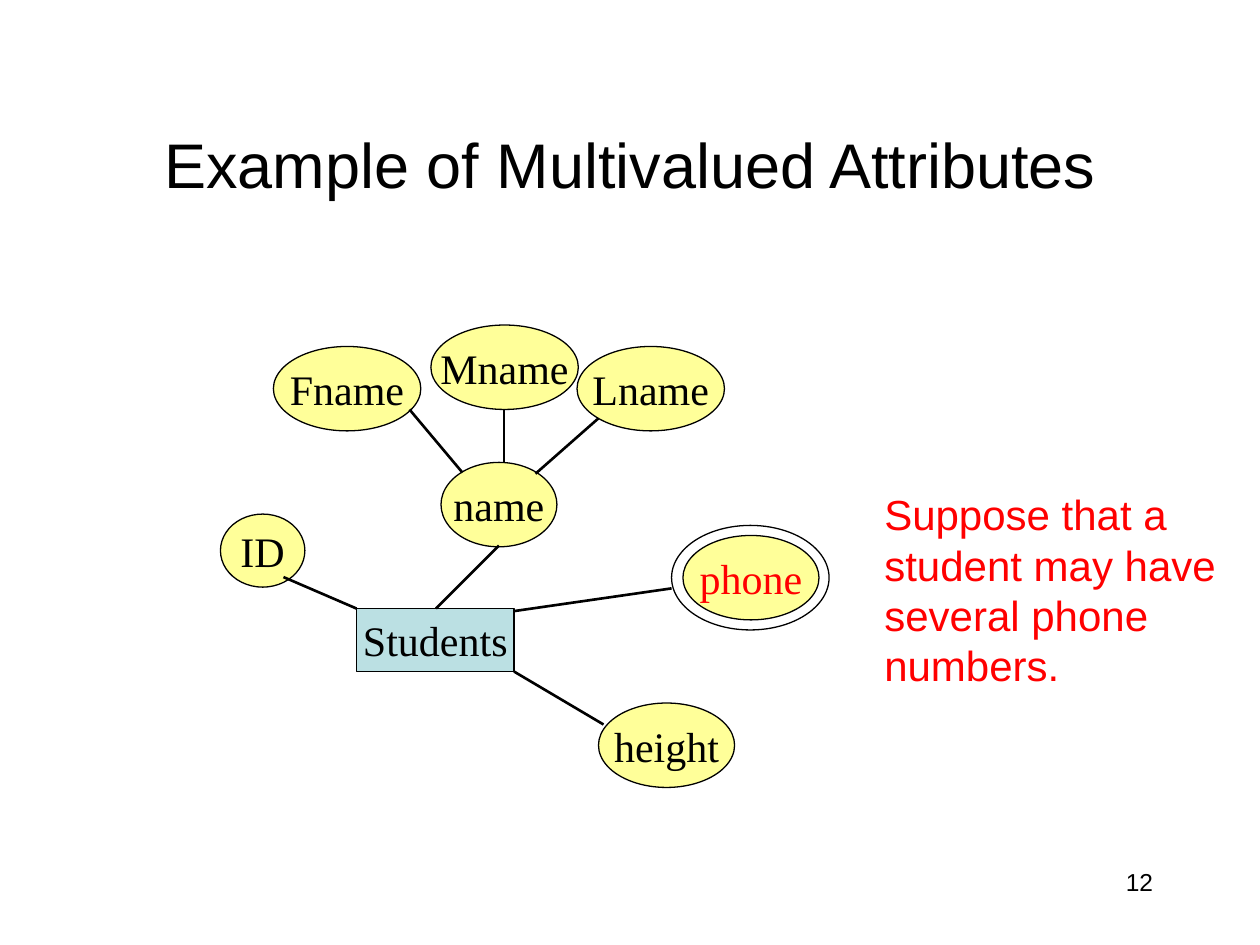
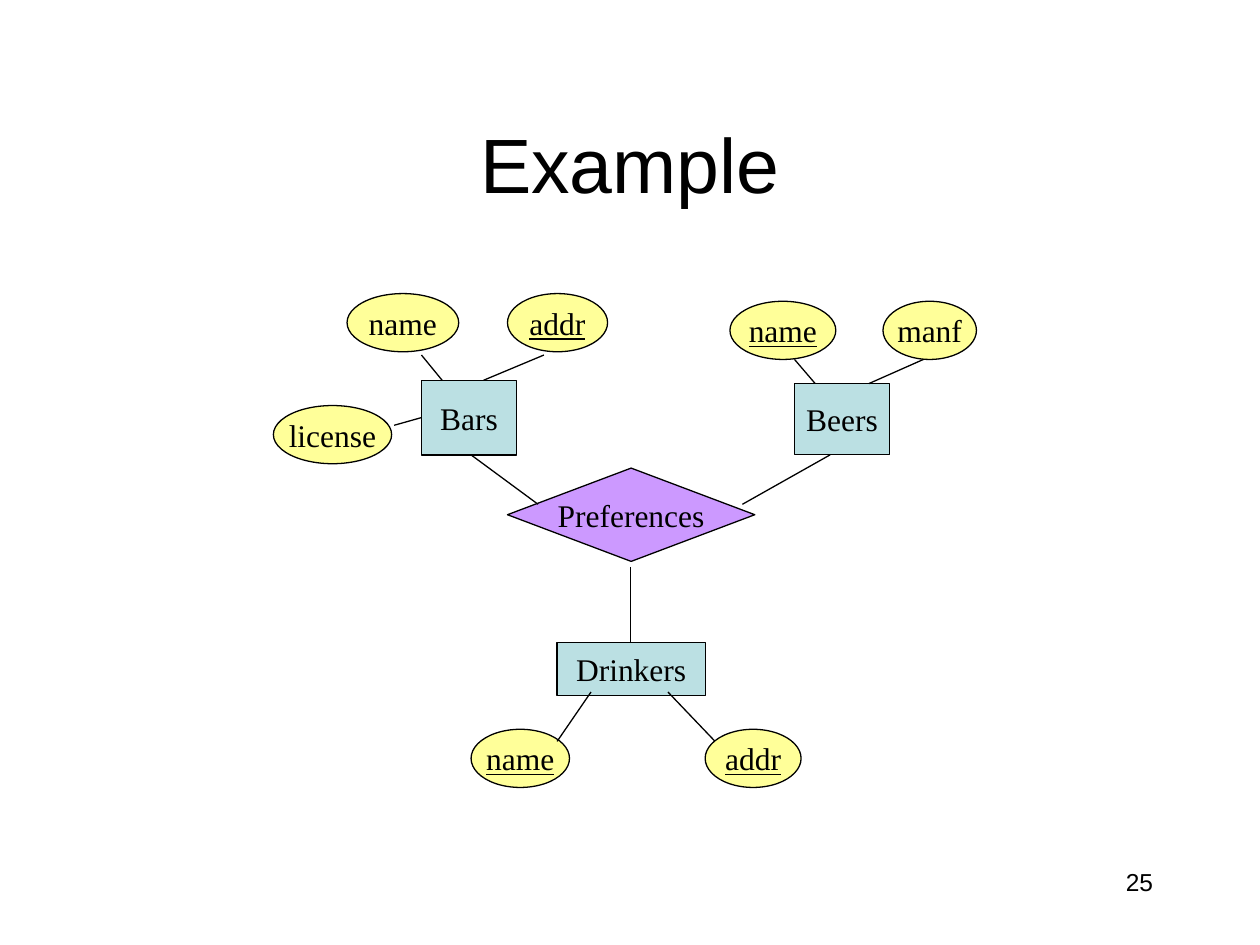
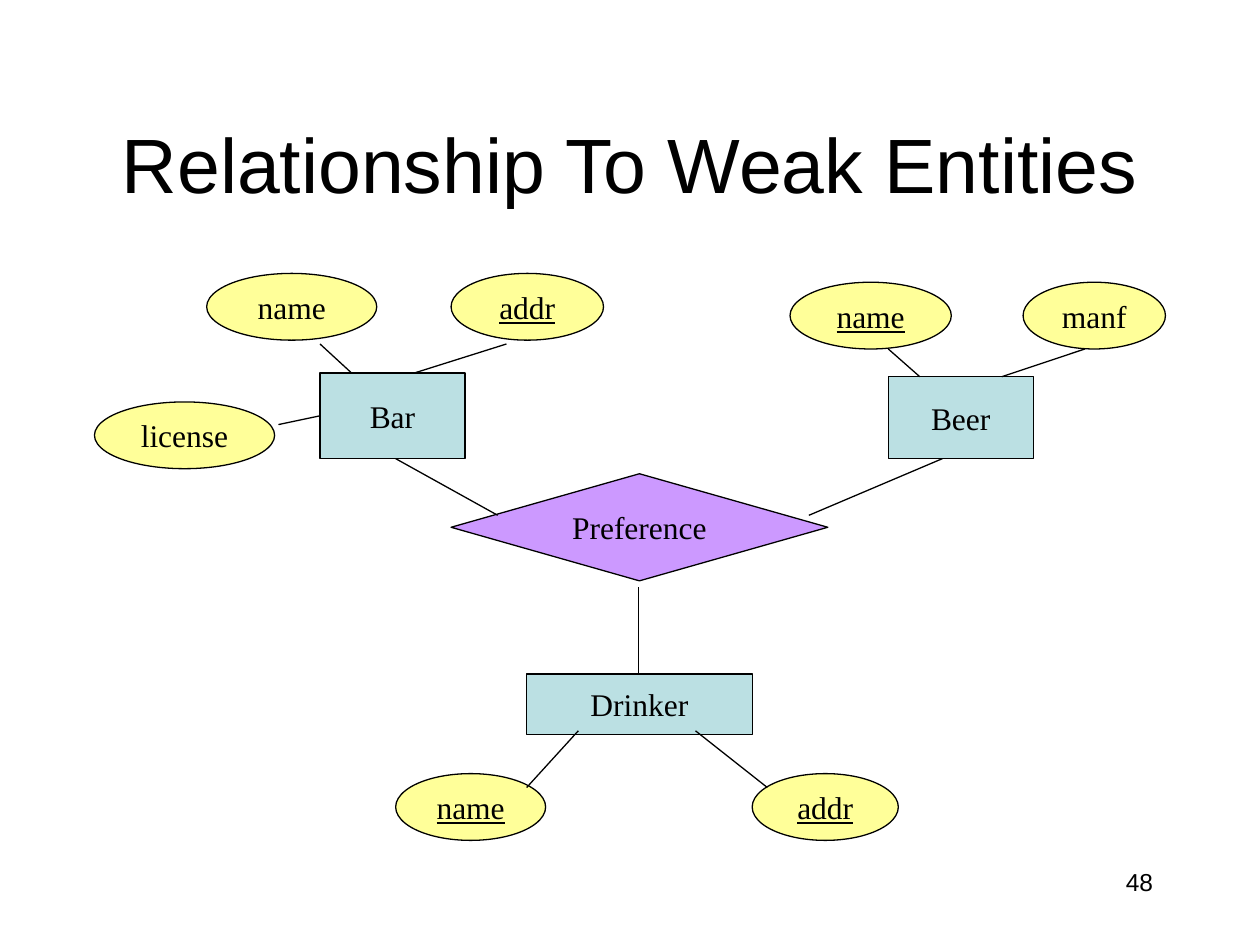
import pptx
import pptx.util
import pptx.dml.color
import pptx.enum.shapes
import pptx.enum.text
import lxml.etree

Inches = pptx.util.Inches
Pt = pptx.util.Pt
RGBColor = pptx.dml.color.RGBColor
Form = pptx.enum.shapes.MSO_SHAPE
Align = pptx.enum.text.PP_ALIGN
Anchor = pptx.enum.text.MSO_ANCHOR

BLACK = RGBColor(0x00, 0x00, 0x00)
RED = RGBColor(0xFF, 0x00, 0x00)
BLUE = RGBColor(0xBB, 0xE0, 0xE3)
YELLOW = RGBColor(0xFF, 0xFF, 0x99)
PURPLE = RGBColor(0xCC, 0x99, 0xFF)
SANS = "Arial"
SERIF = "Times New Roman"
DRAWML = "http://schemas.openxmlformats.org/drawingml/2006/main"

STYLES = {
    "entity": (Form.RECTANGLE, BLUE, BLACK, False),
    "field": (Form.OVAL, YELLOW, BLACK, False),
    "key": (Form.OVAL, YELLOW, BLACK, True),
    "multi": (Form.OVAL, YELLOW, RED, False),
    "ring": (Form.OVAL, None, BLACK, False),
    "bond": (Form.DIAMOND, PURPLE, BLACK, False),
}

BASE = (0.75, 2.17, 8.5, 4.5)
SMALL = (2.17, 2.33, 5.58, 3.92)

student_nodes = [
    ("entity", "Students", 2.83, 4.83, 1.25, 0.5),
    ("field", "ID", 1.75, 4.08, 0.67, 0.58),
    ("field", "name", 3.5, 3.67, 0.92, 0.67),
    ("multi", "phone", 5.42, 4.25, 1.08, 0.67),
    ("field", "height", 4.75, 5.58, 1.08, 0.67),
    ("field", "Fname", 2.17, 2.75, 1.17, 0.67),
    ("field", "Mname", 3.42, 2.58, 1.17, 0.67),
    ("field", "Lname", 4.58, 2.75, 1.17, 0.67),
    ("ring", "", 5.33, 4.17, 1.25, 0.83),
]
student_links = [
    (2.83, 4.83, 2.25, 4.58),
    (3.46, 4.83, 3.96, 4.33),
    (4.08, 5.33, 4.79, 5.75),
    (4.08, 4.85, 5.33, 4.67),
    (3.67, 3.75, 3.25, 3.25),
    (4, 3.67, 4, 3.25),
    (4.25, 3.76, 4.75, 3.32),
]

bar_nodes = [
    ("entity", "Bar", 2.54, 2.96, 1.15, 0.68),
    ("entity", "Beer", 7.05, 2.99, 1.15, 0.65),
    ("entity", "Drinker", 4.18, 5.35, 1.79, 0.48),
    ("field", "name", 1.64, 2.17, 1.35, 0.53),
    ("key", "name", 6.27, 2.24, 1.28, 0.53),
    ("key", "addr", 3.58, 2.17, 1.21, 0.53),
    ("field", "manf", 8.12, 2.24, 1.13, 0.53),
    ("key", "name", 3.14, 6.14, 1.19, 0.53),
    ("key", "addr", 5.97, 6.14, 1.16, 0.53),
    ("field", "license", 0.75, 3.19, 1.43, 0.53),
    ("bond", "Preference", 3.58, 3.76, 2.99, 0.85),
]
bar_links = [
    (2.21, 3.37, 2.54, 3.3),
    (2.54, 2.73, 2.79, 2.96),
    (4.02, 2.73, 3.29, 2.96),
    (4.18, 6.25, 4.59, 5.8),
    (6.09, 6.25, 5.52, 5.8),
    (7.05, 2.77, 7.3, 2.99),
    (8.61, 2.77, 7.95, 2.99),
    (3.95, 4.09, 3.14, 3.64),
    (5.07, 4.66, 5.07, 5.34),
    (6.42, 4.09, 7.48, 3.64),
]
plural_nodes = [
    (kind, text + "s" if kind in ("entity", "bond") else text, *box)
    for kind, text, *box in bar_nodes
]

pages = [
    ("Example of Multivalued Attributes", 36, "12", BASE, student_nodes, student_links, 24, 1.5),
    ("Example", 44, "25", SMALL, plural_nodes, bar_links, 18, 0.75),
    ("Relationship To Weak Entities", 44, "48", BASE, bar_nodes, bar_links, 18, 0.75),
]


def write(frame, text, size, font=SANS, ink=BLACK, align=Align.CENTER, anchor=Anchor.MIDDLE, wrap=True):
    frame.word_wrap = wrap
    frame.vertical_anchor = anchor
    line = frame.paragraphs[0]
    line.alignment = align
    run = line.add_run()
    run.text = text
    run.font.size = Pt(size)
    run.font.name = font
    run.font.color.rgb = ink
    return run


def place(x, y, frame):
    left, top, width, height = frame
    return (
        Inches(left + (x - BASE[0]) * width / BASE[2]),
        Inches(top + (y - BASE[1]) * height / BASE[3]),
    )


deck = pptx.Presentation()
deck.slide_width = Inches(10)
deck.slide_height = Inches(7.5)

for title, title_size, number, frame, nodes, links, size, weight in pages:
    slide = deck.slides.add_slide(deck.slide_layouts[5])
    head = slide.shapes.title
    head.left, head.top, head.width, head.height = map(Inches, (0.75, 0.67, 8.5, 1.25))
    write(head.text_frame, title, title_size)

    foot = slide.shapes.add_textbox(Inches(7.17), Inches(6.83), Inches(2.08), Inches(0.5))
    write(foot.text_frame, number, 14, align=Align.RIGHT, anchor=Anchor.TOP)

    for kind, text, x, y, width, height in nodes:
        form, fill, ink, under = STYLES[kind]
        left, top = place(x, y, frame)
        right, bottom = place(x + width, y + height, frame)
        node = slide.shapes.add_shape(form, left, top, right - left, bottom - top)
        node.shadow.inherit = False
        node.line.color.rgb = BLACK
        node.line.width = Pt(0.75)
        if fill is None:
            node.fill.background()
        else:
            node.fill.solid()
            node.fill.fore_color.rgb = fill
        if text:
            run = write(node.text_frame, text, size, SERIF, ink, wrap=False)
            if under:
                run.font.underline = True

    for x1, y1, x2, y2 in links:
        link = slide.shapes.add_connector(
            pptx.enum.shapes.MSO_CONNECTOR.STRAIGHT, *place(x1, y1, frame), *place(x2, y2, frame)
        )
        link.line.color.rgb = BLACK
        link.line.width = Pt(weight)
        lxml.etree.SubElement(link._element.spPr, "{%s}effectLst" % DRAWML)

note = deck.slides[0].shapes.add_textbox(Inches(6.92), Inches(3.83), Inches(2.83), Inches(1.7))
note.text_frame.auto_size = pptx.enum.text.MSO_AUTO_SIZE.SHAPE_TO_FIT_TEXT
write(
    note.text_frame,
    "Suppose that a student may have several phone numbers.",
    24,
    ink=RED,
    align=Align.LEFT,
    anchor=Anchor.TOP,
)

deck.save("out.pptx")
